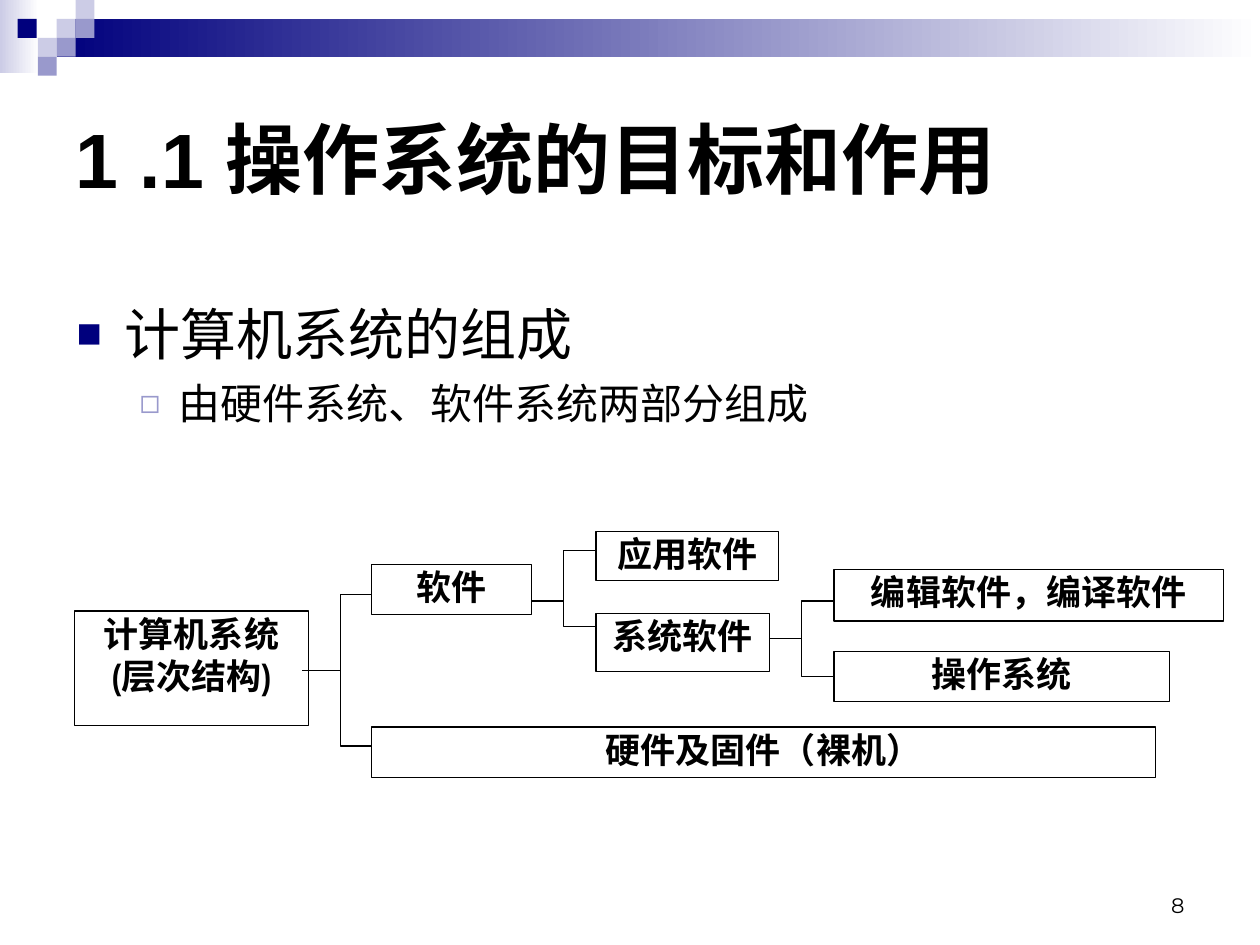
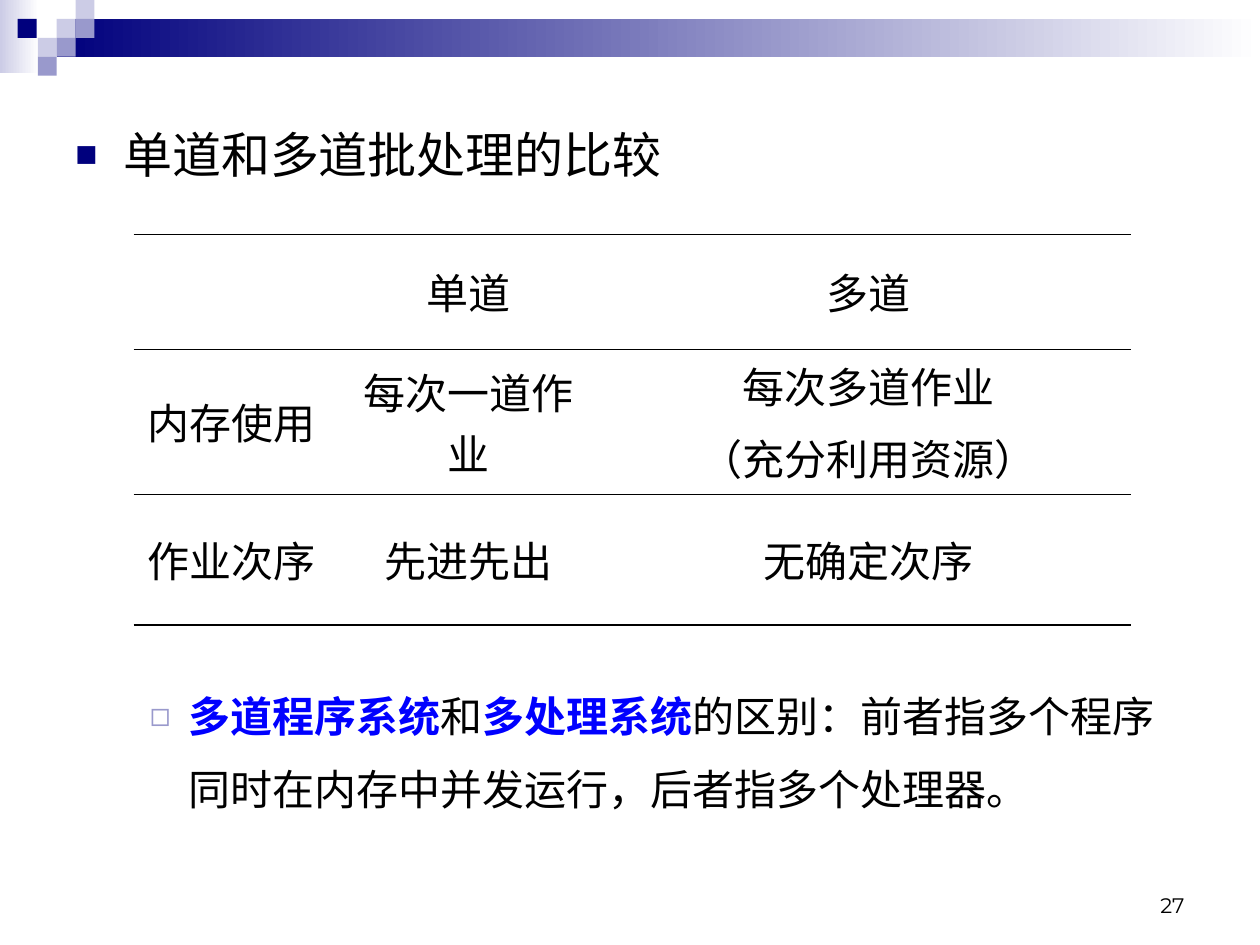
from lxml import etree
from pptx import Presentation
from pptx.dml.color import RGBColor as RGB
from pptx.enum.shapes import MSO_CONNECTOR as CONN, MSO_SHAPE as SHAPE
from pptx.enum.text import MSO_ANCHOR as ANCHOR, PP_ALIGN as ALIGN
from pptx.oxml.ns import qn
from pptx.util import Inches, Pt

C = {"navy": "00007D", "lilac": "9999CC", "pale": "CCCCE6",
     "white": "FFFFFF", "black": "000000", "blue": "0000FF"}
CJK = "Noto Sans CJK SC"
# Per level: character, colour, size in percent, left margin, hanging indent
BULLETS = [("■", "navy", 75, 0.38, 0.38), ("◻", "lilac", 80, 0.81, 0.31)]


def write(p, text, size=24, font="Arial", color="black", bold=False,
          align=ALIGN.LEFT, before=0, line=None, level=None):
    """Fill a paragraph with a string or a list of (string, changes) runs."""
    p.alignment, p.space_before = align, Pt(before)
    if line:
        p.line_spacing = line
    if level is not None:
        char, tint, percent, margin, hang = BULLETS[level]
        p.level = level
        pPr = p._p.get_or_add_pPr()
        pPr.set("marL", str(Inches(margin)))
        pPr.set("indent", str(-Inches(hang)))
        clr = etree.SubElement(pPr, qn("a:buClr"))
        etree.SubElement(clr, qn("a:srgbClr"), val=C[tint])
        etree.SubElement(pPr, qn("a:buSzPct"), val=str(percent * 1000))
        etree.SubElement(pPr, qn("a:buFont"), typeface="Arial")
        etree.SubElement(pPr, qn("a:buChar"), char=char)
    for part, changes in [(text, {})] if isinstance(text, str) else text:
        r = p.add_run()
        r.text = part
        r.font.size, r.font.name = Pt(size), font
        r.font.bold = changes.get("bold", bold)
        r.font.color.rgb = RGB.from_string(C[changes.get("color", color)])
        etree.SubElement(r._r.get_or_add_rPr(), qn("a:ea"), typeface=CJK)


def text_box(s, *place):
    tf = s.shapes.add_textbox(*map(Inches, place)).text_frame
    tf.word_wrap = True
    return tf


prs = Presentation()
prs.slide_width, prs.slide_height = Inches(10), Inches(7.5)

# Shared band, squares and page number
GRADIENTS = [("pale", 0, 0, 0.31, 0.58), ("navy", 0.45, 0.15, 9.55, 0.3)]
SQUARES = [("pale", 0.45, 0.15), ("pale", 0.6, 0), ("lilac", 0.6, 0.15),
           ("pale", 0.3, 0.3), ("navy", 0.14, 0.15), ("lilac", 0.45, 0.3),
           ("lilac", 0.3, 0.45)]
TITLE_ONLY, BLANK = prs.slide_layouts[5], prs.slide_layouts[6]
for layout, number in ((TITLE_ONLY, "8"), (BLANK, "27")):
    s = prs.slides.add_slide(layout)
    for color, *place in GRADIENTS + [(*sq, 0.15, 0.15) for sq in SQUARES]:
        sp = s.shapes.add_shape(SHAPE.RECTANGLE, *map(Inches, place))
        sp.shadow.inherit = False
        sp.line.fill.background()
        if (color, *place) in GRADIENTS:
            sp.fill.gradient()
            sp.fill.gradient_angle = 0
            for stop, tint, pos in zip(sp.fill.gradient_stops, (color, "white"), (0, 1)):
                stop.color.rgb = RGB.from_string(C[tint])
                stop.position = pos
        else:
            sp.fill.solid()
            sp.fill.fore_color.rgb = RGB.from_string(C[color])
    tf = text_box(s, 7.17, 6.83, 2.33, 0.5)
    tf.vertical_anchor = ANCHOR.BOTTOM
    write(tf.paragraphs[0], number, size=12, font="Montserrat", align=ALIGN.RIGHT)

structure, comparison = prs.slides

# Slide 1: title and bullets
title = structure.shapes.title
title.left, title.top, title.width, title.height = map(Inches, (0.5, 0.5, 9, 1.5))
title.text_frame.vertical_anchor = ANCHOR.MIDDLE
write(title.text_frame.paragraphs[0], "1 .1 操作系统的目标和作用", size=44, bold=True)
tf = text_box(structure, 0.51, 2.33, 9, 1.18)
write(tf.paragraphs[0], "计算机系统的组成", size=32, before=8, level=0)
write(tf.add_paragraph(), "由硬件系统、软件系统两部分组成", before=6, level=1)

# Boxes of the tree
BOXES = [(["计算机系统", "(层次结构)"], 0.59, 4.85, 1.86, 0.91),
         (["软件"], 2.95, 4.48, 1.27, 0.4),
         (["硬件及固件（裸机）"], 2.95, 5.77, 6.22, 0.4),
         (["应用软件"], 4.73, 4.22, 1.45, 0.39),
         (["系统软件"], 4.73, 4.87, 1.38, 0.46),
         (["编辑软件，编译软件"], 6.62, 4.52, 3.09, 0.41),
         (["操作系统"], 6.62, 5.17, 2.66, 0.4)]
outlined = []
for lines, *place in BOXES:
    sp = structure.shapes.add_shape(SHAPE.RECTANGLE, *map(Inches, place))
    outlined.append(sp)
    tf = sp.text_frame
    tf.word_wrap, tf.vertical_anchor = True, ANCHOR.TOP
    tf.margin_left = tf.margin_right = tf.margin_top = tf.margin_bottom = Inches(0.01)
    for i, line in enumerate(lines):
        write(tf.add_paragraph() if i else tf.paragraphs[0], line, size=20,
              font="Arial Narrow", bold=True, align=ALIGN.CENTER)

# Brackets: stem start and height, spine, then tips at right, top and bottom
BRACKETS = [(2.4, 5.32, 2.7, 2.95, 4.72, 5.92),
            (4.22, 4.77, 4.47, 4.73, 4.37, 4.97),
            (6.11, 5.07, 6.36, 6.62, 4.77, 5.37)]
for bracket in BRACKETS:
    start, stem, spine, tip, top, bottom = map(Inches, bracket)
    fb = structure.shapes.build_freeform(tip, top)
    fb.add_line_segments([(spine, top), (spine, bottom), (tip, bottom)], close=False)
    outlined.append(fb.convert_to_shape())
    cx = structure.shapes.add_connector(CONN.STRAIGHT, start, stem, spine, stem)
    cx.line.width = Pt(0.75)
    cx.line.color.rgb = RGB.from_string(C["black"])
    etree.SubElement(cx._element.spPr, qn("a:effectLst"))
for sp in outlined:
    sp.shadow.inherit = False
    sp.fill.background()
    sp.line.width = Pt(0.75)
    sp.line.color.rgb = RGB.from_string(C["black"])

# Slide 2: heading
tf = text_box(comparison, 0.5, 0.68, 8.99, 1.1)
write(tf.paragraphs[0], "单道和多道批处理的比较", size=28, font=CJK,
      before=7, line=1.55, level=0)

# Comparison table with horizontal rules only
ROWS = [["", "单道", "多道"],
        ["内存使用", "每次一道作业", "每次多道作业\n（充分利用资源）"],
        ["作业次序", "先进先出", "无确定次序"]]
RULES = [1.08, 0.45, 0.45, 1.08]
table = comparison.shapes.add_table(3, 3, *map(Inches, (1.06, 1.86, 7.92, 3.1))).table
table.first_row = table.horz_banding = False
table._tbl.tblPr.find(qn("a:tableStyleId")).text = "{2D5ABB26-0587-4C30-8999-92F81FD0307C}"
for col, width in zip(table.columns, (1.56, 2.19, 4.17)):
    col.width = Inches(width)
for row, height in zip(table.rows, (0.91, 1.15, 1.04)):
    row.height = Inches(height)
for i, texts in enumerate(ROWS):
    for j, text in enumerate(texts):
        cell = table.cell(i, j)
        cell.vertical_anchor = ANCHOR.MIDDLE
        for side, weight in (("a:lnT", RULES[i]), ("a:lnB", RULES[i + 1])):
            ln = etree.SubElement(cell._tc.get_or_add_tcPr(), qn(side), w=str(Pt(weight)))
            fill = etree.SubElement(ln, qn("a:solidFill"))
            etree.SubElement(fill, qn("a:srgbClr"), val=C["black"])
        cell.fill.background()
        tf = cell.text_frame
        for k, line in enumerate(text.split("\n") if text else []):
            write(tf.add_paragraph() if k else tf.paragraphs[0], line,
                  align=ALIGN.CENTER, before=6)

# Closing remark
KEY = {"color": "blue", "bold": True}
tf = text_box(comparison, 0.59, 5.25, 8.99, 1.26)
write(tf.paragraphs[0],
      [("多道程序系统", KEY), ("和", {}), ("多处理系统", KEY),
       ("的区别：前者指多个程序同时在内存中并发运行，后者指多个处理器。", {})],
      before=6, line=1.45, level=1)

prs.save("out.pptx")
